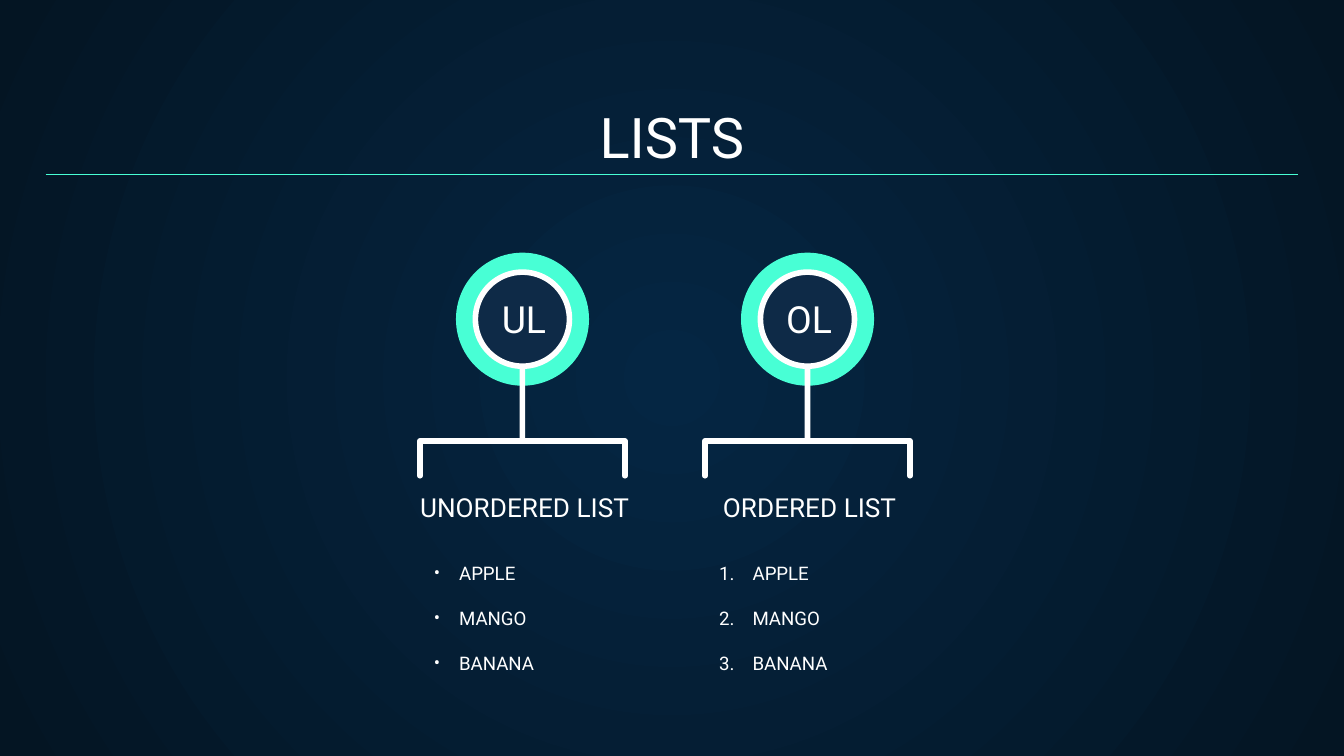
from dataclasses import dataclass

from lxml.etree import SubElement
from pptx import Presentation
from pptx.dml.color import RGBColor
from pptx.enum.shapes import MSO_CONNECTOR, MSO_SHAPE
from pptx.enum.text import MSO_ANCHOR, MSO_AUTO_SIZE, PP_ALIGN
from pptx.oxml.ns import qn
from pptx.slide import Slide
from pptx.text.text import TextFrame
from pptx.util import Pt

WHITE = RGBColor(0xFF, 0xFF, 0xFF)
MINT = RGBColor(0x48, 0xFF, 0xD5)
NAVY = RGBColor(0x0E, 0x2A, 0x47)
GLOW = RGBColor(0x05, 0x26, 0x43)
EDGE = RGBColor(0x04, 0x15, 0x23)

FACE = "Roboto"
STROKE = 3
HUB = 171  # height of the badge centres
BAR = 236.2  # height of the bracket bars
ITEMS = ("APPLE", "MANGO", "BANANA")

FRAME = {
    "word_wrap": True,
    "auto_size": MSO_AUTO_SIZE.NONE,
    "margin_left": Pt(7.2),
    "margin_right": Pt(7.2),
    "margin_top": Pt(7.2),
    "margin_bottom": Pt(7.2),
}


@dataclass
class Branch:
    mid: float
    code: str
    label: str
    indent: float
    mark: str
    value: dict[str, str]


BRANCHES = (
    Branch(279.9, "UL", "UNORDERED LIST", 13.5, "a:buChar", {"char": "•"}),
    Branch(432.6, "OL", "ORDERED LIST", 18, "a:buAutoNum", {"type": "arabicPeriod"}),
)


def apply(target: object, values: dict) -> None:
    for name, value in values.items():
        setattr(target, name, value)


def write(frame: TextFrame, lines: tuple[str, ...], size: float,
          anchor: MSO_ANCHOR, align: PP_ALIGN, gap: float = 1) -> None:
    apply(frame, {**FRAME, "vertical_anchor": anchor})
    frame.text = "\n".join(lines)
    for para in frame.paragraphs:
        apply(para, {"alignment": align, "line_spacing": gap})
        for run in para.runs:
            apply(run.font, {"name": FACE, "size": Pt(size)})
            run.font.color.rgb = WHITE


def add_text(slide: Slide, box: tuple[float, ...]) -> TextFrame:
    return slide.shapes.add_textbox(*map(Pt, box)).text_frame


def add_label(slide: Slide, text: str, size: float, box: tuple[float, ...]) -> None:
    write(add_text(slide, box), (text,), size, MSO_ANCHOR.BOTTOM, PP_ALIGN.CENTER)


def add_solid(slide: Slide, kind: MSO_SHAPE, mid: float, top: float,
              wide: float, high: float, fill: RGBColor, edge: bool = False) -> None:
    shape = slide.shapes.add_shape(kind, Pt(mid - wide / 2), Pt(top), Pt(wide), Pt(high))
    shape.shadow.inherit = False
    shape.fill.solid()
    shape.fill.fore_color.rgb = fill
    if edge:
        shape.line.color.rgb = WHITE
        shape.line.width = Pt(STROKE)
    else:
        shape.line.fill.background()


def add_disc(slide: Slide, mid: float, size: float, fill: RGBColor,
             edge: bool = False) -> None:
    add_solid(slide, MSO_SHAPE.OVAL, mid, HUB - size / 2, size, size, fill, edge)


def add_bracket(slide: Slide, mid: float) -> None:
    left, right, foot = mid - 54.9, mid + 54.9, BAR + 18.7
    pen = slide.shapes.build_freeform(Pt(left), Pt(foot))
    turns = ((left, BAR), (right, BAR), (right, foot))
    pen.add_line_segments([(Pt(x), Pt(y)) for x, y in turns], close=False)
    shape = pen.convert_to_shape()
    shape.shadow.inherit = False
    shape.fill.background()
    shape.line.color.rgb = WHITE
    shape.line.width = Pt(STROKE)
    line = shape.line._get_or_add_ln()
    line.set("cap", "rnd")
    SubElement(line, qn("a:round"))


def add_list(slide: Slide, branch: Branch) -> None:
    frame = add_text(slide, (branch.mid - 54.5, 282, 109.4, 39.6))
    write(frame, ITEMS, 10, MSO_ANCHOR.TOP, PP_ALIGN.LEFT, 2)
    for para in frame.paragraphs:
        props = para._p.get_or_add_pPr()
        props.set("marL", str(Pt(branch.indent)))
        props.set("indent", str(-Pt(branch.indent)))
        tint = SubElement(props, qn("a:buClr"))
        SubElement(tint, qn("a:srgbClr"), val=str(WHITE))
        SubElement(props, qn("a:buFont"), typeface=FACE)
        SubElement(props, qn(branch.mark), branch.value)


def add_branch(slide: Slide, branch: Branch) -> None:
    mid = branch.mid
    add_bracket(slide, mid)
    add_disc(slide, mid, 71.3, MINT)
    add_solid(slide, MSO_SHAPE.ROUNDED_RECTANGLE, mid, 165.6, STROKE, 72, WHITE)
    add_disc(slide, mid, 50.4, NAVY, edge=True)
    add_label(slide, branch.code, 20, (mid - 39.5, 168.5, 80.6, 21.6))
    add_label(slide, branch.label, 14, (mid - 80.5, 272.2, 163.4, 15.1))
    add_list(slide, branch)


def paint_back(slide: Slide) -> None:
    fill = slide.background.fill
    fill.gradient()
    for stop, tint in zip(fill.gradient_stops, (GLOW, EDGE)):
        stop.color.rgb = tint
    grad = slide.element.find(".//" + qn("a:gradFill"))
    grad.remove(grad.find(qn("a:lin")))
    round_ = SubElement(grad, qn("a:path"), {"path": "circle"})
    SubElement(round_, qn("a:fillToRect"), dict.fromkeys("ltrb", "50000"))


def add_head(slide: Slide) -> None:
    title = slide.shapes.title
    apply(title, dict(left=Pt(24.5), top=Pt(50.4), width=Pt(671), height=Pt(47.5)))
    write(title.text_frame, ("LISTS",), 30, MSO_ANCHOR.BOTTOM, PP_ALIGN.CENTER)
    rule = slide.shapes.add_connector(
        MSO_CONNECTOR.STRAIGHT, Pt(24.5), Pt(93.6), Pt(695.5), Pt(93.6))
    rule.line.color.rgb = MINT
    rule.line.width = Pt(0.75)
    SubElement(rule.element.spPr, qn("a:effectLst"))


def main() -> None:
    deck = Presentation()
    apply(deck, {"slide_width": Pt(720), "slide_height": Pt(405)})
    slide = deck.slides.add_slide(deck.slide_layouts[5])

    # Background, title and rule
    paint_back(slide)
    add_head(slide)

    # One branch for each kind of list
    for branch in BRANCHES:
        add_branch(slide, branch)

    deck.save("out.pptx")


if __name__ == "__main__":
    main()
